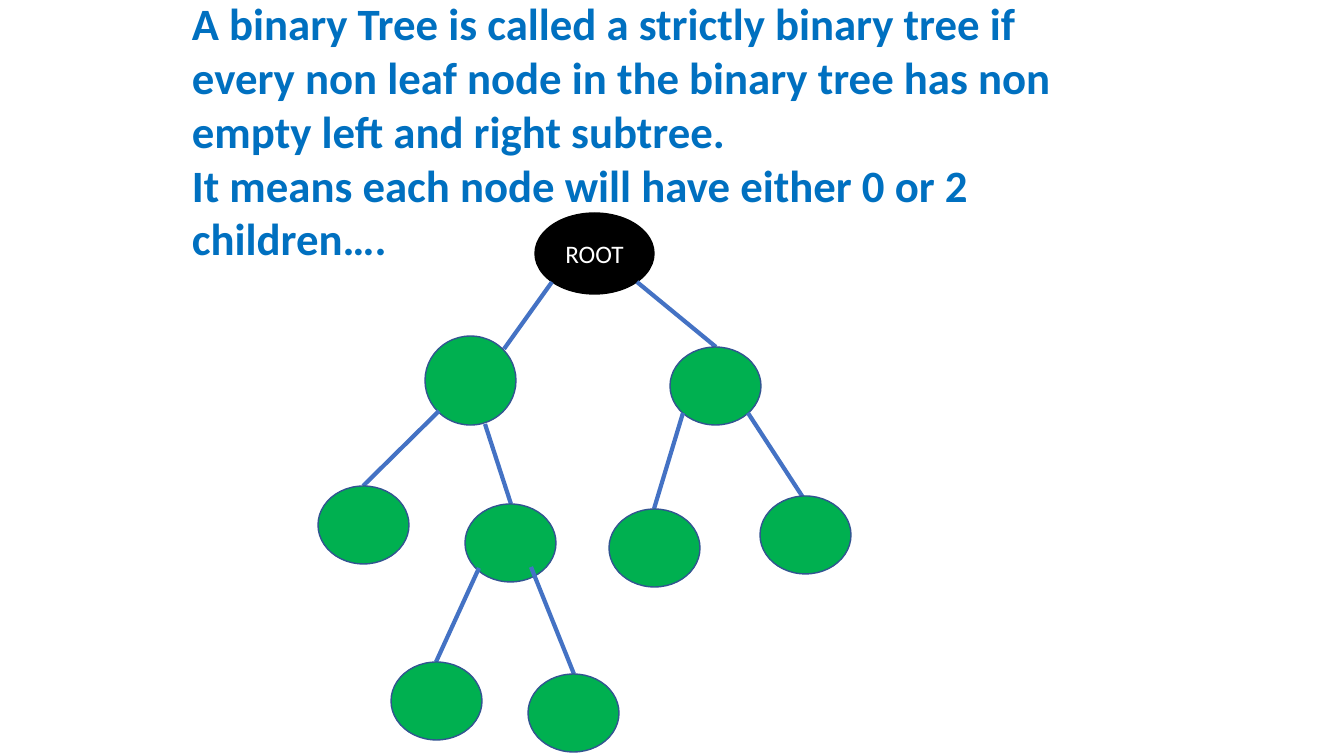
from lxml import etree
from pptx import Presentation
from pptx import util as u
from pptx.dml.color import RGBColor
from pptx.enum import shapes, text
from pptx.oxml.ns import qn

SCALE = 914400 / 100.8
SLIDE_SIZE = (1344, 756)
FONT = "Calibri"
BLACK = RGBColor(0x00, 0x00, 0x00)
WHITE = RGBColor(0xFF, 0xFF, 0xFF)
GREEN = RGBColor(0x00, 0xB0, 0x50)
OUTLINE = RGBColor(0x32, 0x54, 0x91)
BRANCH = RGBColor(0x44, 0x72, 0xC4)
BLUE = RGBColor(0x00, 0x70, 0xC0)

DEFINITION = [
    "A binary Tree is called a strictly binary tree if every non leaf node "
    "in the binary tree has non empty left and right subtree.",
    "It means each node will have either 0 or 2 children….",
]
NODE_WIDTH, NODE_HEIGHT = 91, 78
# Each child: left, top, height, branch start, branch end
CHILDREN = [
    (425, 336, 89, (552, 282), (504, 349)),
    (670, 347, NODE_HEIGHT, (637, 282), (716, 347)),
    (318, 486, NODE_HEIGHT, (439, 411), (363, 486)),
    (465, 504, NODE_HEIGHT, (485, 424), (511, 504)),
    (609, 509, NODE_HEIGHT, (683, 413), (654, 509)),
    (760, 496, NODE_HEIGHT, (748, 413), (836, 548)),
    (391, 662, NODE_HEIGHT, (479, 568), (436, 662)),
    (528, 674, NODE_HEIGHT, (531, 567), (574, 674)),
]


def px(*lengths):
    """Turn pixel lengths into EMU."""
    return [u.Emu(round(length * SCALE)) for length in lengths]


def write(para, words, size, color, bold=False):
    """Add one formatted span to a paragraph."""
    span = para.add_run()
    span.text = words
    for name, value in dict(name=FONT, size=u.Pt(size), bold=bold).items():
        setattr(span.font, name, value)
    span.font.color.rgb = color


def add_definition(page):
    """Write the definition above the tree."""
    box = page.shapes.add_textbox(*px(182, -9, 942, 281))
    frame = box.text_frame
    frame.word_wrap = True
    for index, words in enumerate(DEFINITION):
        para = frame.add_paragraph() if index else frame.paragraphs[0]
        write(para, words, 32, BLUE, bold=True)


def add_node(page, place, fill, outline, label=None):
    """Draw a tree node, with a label if one is given."""
    node = page.shapes.add_shape(shapes.MSO_SHAPE.OVAL, *px(*place))
    node.shadow.inherit = False
    node.fill.solid()
    node.fill.fore_color.rgb = fill
    node.line.color.rgb = outline
    node.line.width = u.Pt(1)
    if label:
        node.text_frame.vertical_anchor = text.MSO_ANCHOR.MIDDLE
        para = node.text_frame.paragraphs[0]
        para.alignment = text.PP_ALIGN.CENTER
        write(para, label, 18, WHITE)


def add_branch(page, start, end):
    """Draw a straight line from a parent to a child."""
    branch = page.shapes.add_connector(
        shapes.MSO_CONNECTOR.STRAIGHT, *px(*start, *end))
    branch.line.color.rgb = BRANCH
    branch.line.width = u.Pt(3)
    etree.SubElement(branch._element.spPr, qn("a:effectLst"))


def main():
    """Build the slide and save it."""
    deck = Presentation()
    deck.slide_width, deck.slide_height = px(*SLIDE_SIZE)
    page = deck.slides.add_slide(deck.slide_layouts[6])
    add_definition(page)
    add_node(page, (535, 213, 119, 81), BLACK, BLACK, "ROOT")
    for left, top, height, start, end in CHILDREN:
        add_branch(page, start, end)
        add_node(page, (left, top, NODE_WIDTH, height), GREEN, OUTLINE)
    deck.save("out.pptx")


main()
